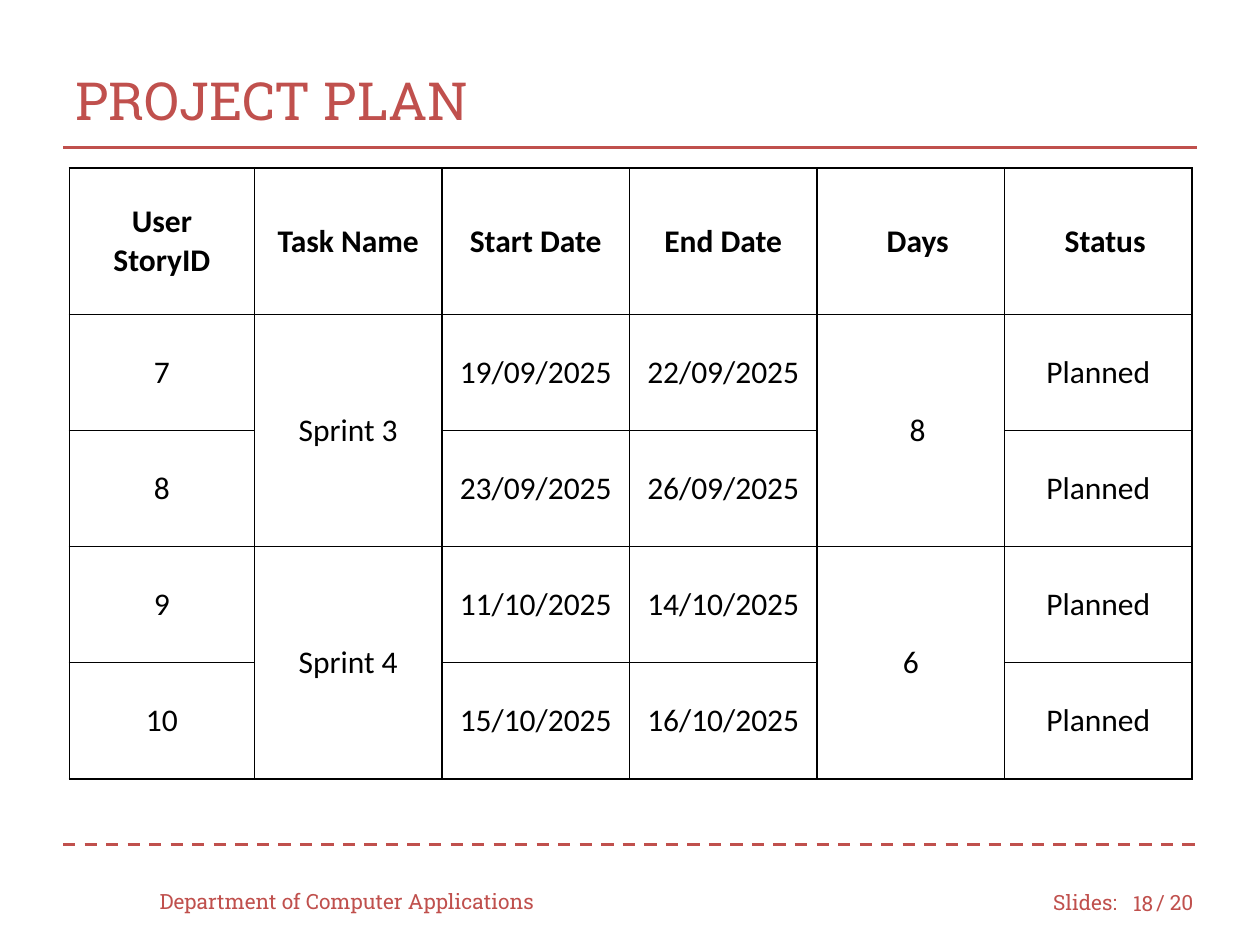
"""Build the project plan slide with its sprint schedule table."""
from dataclasses import dataclass

from lxml import etree
from pptx import Presentation
from pptx.dml.color import RGBColor
from pptx.enum import dml, shapes, text
from pptx.oxml import ns
from pptx.util import Cm, Pt


@dataclass(frozen=True)
class Theme:
    accent: RGBColor = RGBColor(0xC0, 0x50, 0x4D)
    ink: RGBColor = RGBColor(0, 0, 0)
    paper: RGBColor = RGBColor(0xFF, 0xFF, 0xFF)
    display_font: str = "Roboto Slab"
    table_font: str = "Calibri"
    title_size: int = 30
    table_size: int = 18
    footer_size: int = 12
    rule_width: float = 1.75
    border_width: float = 1


@dataclass(frozen=True)
class Label:
    wording: str
    left: float
    top: float
    width: float
    align: text.PP_ALIGN = text.PP_ALIGN.LEFT


@dataclass(frozen=True)
class Rule:
    top: float
    dash: dml.MSO_LINE | None = None


@dataclass(frozen=True)
class Story:
    number: str
    start: str
    end: str


@dataclass(frozen=True)
class Sprint:
    name: str
    days: str
    stories: tuple[Story, ...]


THEME = Theme()
LABEL_HEIGHT = 1.02
CELL_INSET = 0.25
SHIFTED_INSET = 0.53
LABELS = (
    Label("Slides:", 20.98, 17.68, 1.91),
    Label("/ 20", 23.06, 17.68, 1.47),
    Label("Department of Computer Applications", 2.97, 17.65, 8.46),
    Label("18", 22.43, 17.7, 1.07, text.PP_ALIGN.RIGHT),
)
RULES = (Rule(17.02, dml.MSO_LINE.DASH), Rule(2.97))
HEADINGS = ("User\nStoryID", "Task Name", "Start Date", "End Date", "Days", "Status")
SPRINTS = (
    Sprint("Sprint 3", "8", (Story("7", "19/09/2025", "22/09/2025"),
                             Story("8", "23/09/2025", "26/09/2025"))),
    Sprint("Sprint 4", "6", (Story("9", "11/10/2025", "14/10/2025"),
                             Story("10", "15/10/2025", "16/10/2025"))),
)
SHIFTED_WORDS = ("Days", "Status", "8")
SPRINT_COLUMNS = (1, 4)
COLUMN_WIDTHS = (3.73,) + (3.78,) * 5
HEADER_HEIGHT, STORY_HEIGHT = 2.95, 2.34


def write(frame, wording: str, *, size: float, font: str, color: RGBColor,
          bold: bool = False, align: text.PP_ALIGN = text.PP_ALIGN.LEFT) -> None:
    """Fill a text frame and format every paragraph in it."""
    frame.text = wording
    for paragraph in frame.paragraphs:
        paragraph.alignment = align
        for run in paragraph.runs:
            run.font.size, run.font.name, run.font.bold = Pt(size), font, bold
            run.font.color.rgb = color


def add_title(slide, wording: str) -> None:
    """Place and format the title placeholder."""
    title = slide.shapes.title
    title.left, title.top, title.width, title.height = Cm(1.27), Cm(0.84), Cm(22.86), Cm(2.34)
    title.text_frame.vertical_anchor = text.MSO_ANCHOR.MIDDLE
    write(title.text_frame, wording, size=THEME.title_size,
          font=THEME.display_font, color=THEME.accent)


def add_label(slide, label: Label) -> None:
    """Add one footer text box."""
    box = slide.shapes.add_textbox(Cm(label.left), Cm(label.top), Cm(label.width), Cm(LABEL_HEIGHT))
    box.text_frame.word_wrap = True
    box.text_frame.vertical_anchor = text.MSO_ANCHOR.MIDDLE
    write(box.text_frame, label.wording, size=THEME.footer_size,
          font=THEME.display_font, color=THEME.accent, align=label.align)


def add_rule(slide, rule: Rule) -> None:
    """Add one horizontal rule across the slide."""
    line = slide.shapes.add_connector(shapes.MSO_CONNECTOR.STRAIGHT,
                                      Cm(1.27), Cm(rule.top), Cm(24.13), Cm(rule.top))
    line.line.color.rgb = THEME.accent
    line.line.width = Pt(THEME.rule_width)
    if rule.dash is not None:
        line.line.dash_style = rule.dash
    etree.SubElement(line._element.spPr, ns.qn("a:effectLst"))


def style_cell(cell) -> None:
    """Give a cell its borders, fill and anchor."""
    properties = cell._tc.get_or_add_tcPr()
    for side in ("L", "R", "T", "B"):
        border = etree.SubElement(properties, ns.qn(f"a:ln{side}"), w=str(Pt(THEME.border_width)))
        fill = etree.SubElement(border, ns.qn("a:solidFill"))
        etree.SubElement(fill, ns.qn("a:srgbClr"), val=str(THEME.ink))
    cell.fill.solid()
    cell.fill.fore_color.rgb = THEME.paper
    cell.vertical_anchor = text.MSO_ANCHOR.MIDDLE
    cell.margin_left = cell.margin_right = cell.margin_top = cell.margin_bottom = Cm(CELL_INSET)


def write_cell(cell, wording: str, column: int, bold: bool) -> None:
    """Write centred wording, nudging the cells that sit right of centre."""
    if wording in SHIFTED_WORDS and column >= SPRINT_COLUMNS[-1]:
        cell.margin_left = Cm(SHIFTED_INSET)
    write(cell.text_frame, wording, size=THEME.table_size, font=THEME.table_font,
          color=THEME.ink, bold=bold, align=text.PP_ALIGN.CENTER)


def add_schedule(slide) -> None:
    """Add the sprint table, merging the cells each sprint shares."""
    rows = [HEADINGS]
    spans = []
    for sprint in SPRINTS:
        first = len(rows)
        for index, story in enumerate(sprint.stories):
            name, days = (sprint.name, sprint.days) if index == 0 else ("", "")
            rows.append((story.number, name, story.start, story.end, days, "Planned"))
        spans.append((first, len(rows) - 1))
    heights = [HEADER_HEIGHT] + [STORY_HEIGHT] * (len(rows) - 1)
    table = slide.shapes.add_table(len(rows), len(HEADINGS), Cm(1.4), Cm(3.39),
                                   Cm(sum(COLUMN_WIDTHS)), Cm(sum(heights))).table
    table.horz_banding = False
    for column, width in zip(table.columns, COLUMN_WIDTHS):
        column.width = Cm(width)
    for row, height in zip(table.rows, heights):
        row.height = Cm(height)
    for row_index, row in enumerate(rows):
        for column_index, wording in enumerate(row):
            cell = table.cell(row_index, column_index)
            style_cell(cell)
            if wording:
                write_cell(cell, wording, column_index, bold=row_index == 0)
    for first, last in spans:
        for column_index in SPRINT_COLUMNS:
            table.cell(first, column_index).merge(table.cell(last, column_index))


def main() -> None:
    """Assemble and save the slide."""
    presentation = Presentation()
    presentation.slide_width, presentation.slide_height = Cm(25.4), Cm(19.05)
    slide = presentation.slides.add_slide(presentation.slide_layouts[5])
    for rule in RULES:
        add_rule(slide, rule)
    add_title(slide, "PROJECT PLAN")
    for label in LABELS:
        add_label(slide, label)
    add_schedule(slide)
    presentation.save("out.pptx")


if __name__ == "__main__":
    main()
